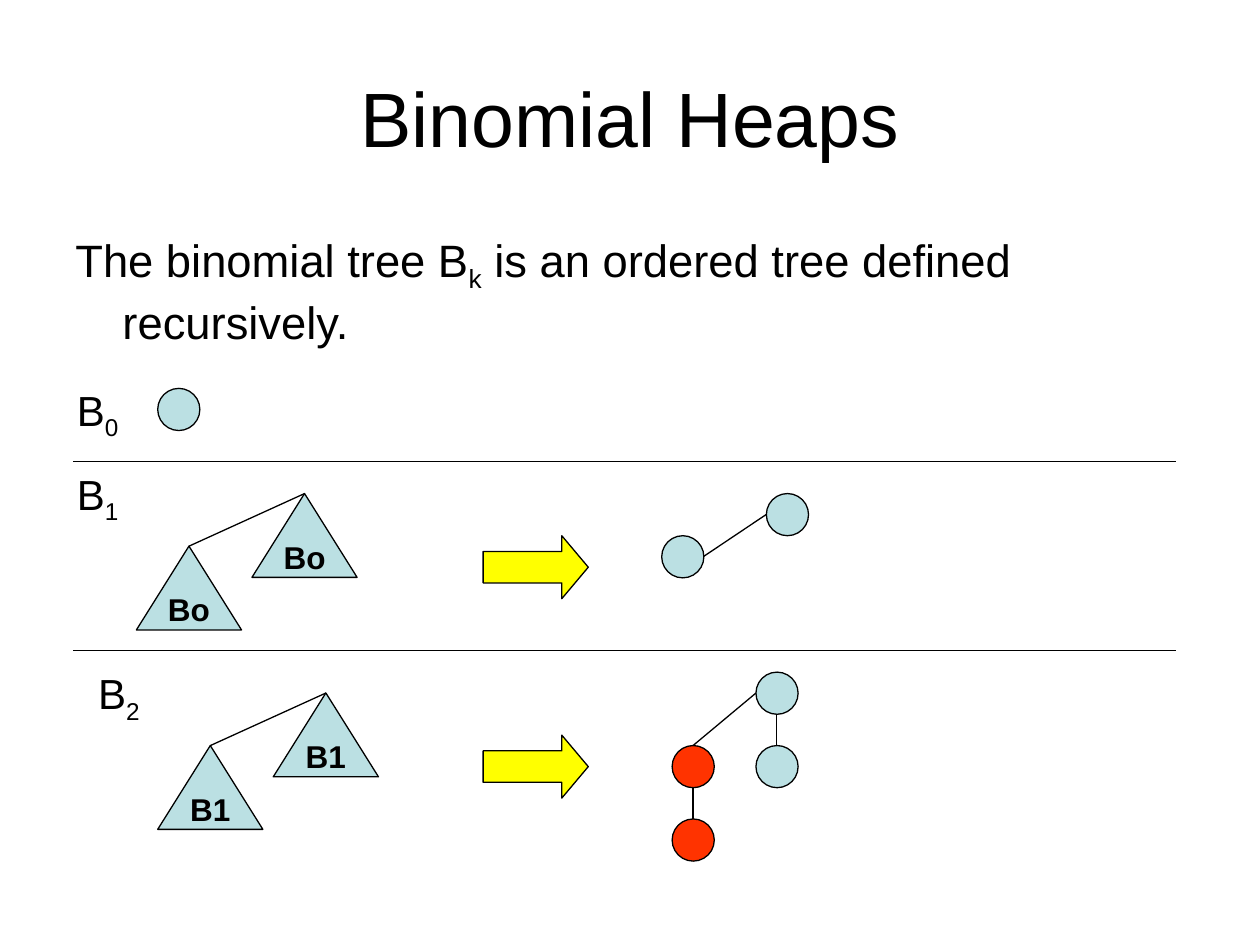
from dataclasses import dataclass

from lxml.etree import SubElement
from pptx import Presentation
from pptx.dml.color import RGBColor
from pptx.enum.shapes import MSO_CONNECTOR, MSO_SHAPE
from pptx.enum.text import MSO_ANCHOR, PP_ALIGN
from pptx.oxml.ns import qn
from pptx.util import Cm, Pt


@dataclass(frozen=True)
class Theme:
    font: str = "Arial"
    ink: RGBColor = RGBColor(0x00, 0x00, 0x00)
    node: RGBColor = RGBColor(0xBB, 0xE0, 0xE3)
    child: RGBColor = RGBColor(0xFF, 0x33, 0x00)
    arrow: RGBColor = RGBColor(0xFF, 0xFF, 0x00)
    outline: Pt = Pt(0.75)
    title: Pt = Pt(44)
    body: Pt = Pt(25.9)
    label: Pt = Pt(24)
    tree: Pt = Pt(18)


theme = Theme()
NODE = 0.85
TREE_WIDTH, TREE_HEIGHT = 2.12, 1.69
TREE_STEP_X, TREE_STEP_Y = 2.33, 1.06


def add_figure(shapes, kind, left, top, width, height, color):
    figure = shapes.add_shape(kind, Cm(left), Cm(top), Cm(width), Cm(height))
    figure.shadow.inherit = False
    figure.fill.solid()
    figure.fill.fore_color.rgb = color
    figure.line.color.rgb = theme.ink
    figure.line.width = theme.outline
    return figure


def add_line(shapes, *ends):
    line = shapes.add_connector(MSO_CONNECTOR.STRAIGHT, *[Cm(end) for end in ends])
    line.line.color.rgb = theme.ink
    line.line.width = theme.outline
    SubElement(line._element.spPr, qn("a:effectLst"))


deck = Presentation()
deck.slide_width, deck.slide_height = Cm(25.4), Cm(19.05)
page = deck.slides.add_slide(deck.slide_layouts[5])

title = page.shapes.title
title_place = {"left": Cm(1.27), "top": Cm(0.76), "width": Cm(22.86), "height": Cm(3.18)}
for name, value in title_place.items():
    setattr(title, name, value)
title.text_frame.text = "Binomial Heaps"
title.text_frame.vertical_anchor = MSO_ANCHOR.MIDDLE
para = title.text_frame.paragraphs[0]
para.alignment = PP_ALIGN.CENTER
for name, value in {"name": theme.font, "size": theme.title}.items():
    setattr(para.font, name, value)
para.font.color.rgb = theme.ink

statement = ("The binomial tree B", "k", " is an ordered tree defined recursively.")
texts = [
    (1.27, 4.45, 20.17, 2.72, theme.body, statement),
    (1.3, 7.62, 1.35, 1.42, theme.label, ("B", "0")),
    (1.3, 9.31, 1.35, 1.42, theme.label, ("B", "1")),
    (1.73, 13.34, 1.35, 1.42, theme.label, ("B", "2")),
]
for left, top, width, height, size, pieces in texts:
    box = page.shapes.add_textbox(Cm(left), Cm(top), Cm(width), Cm(height))
    frame = box.text_frame
    frame.word_wrap = pieces is statement
    para = frame.paragraphs[0]
    if pieces is statement:
        frame.margin_top = Cm(0.23)
        indent = para._p.get_or_add_pPr()
        indent.set("marL", str(Cm(0.95)))
        indent.set("indent", str(-Cm(0.95)))
    for position, piece in enumerate(pieces):
        span = para.add_run()
        span.text = piece
        for name, value in {"name": theme.font, "size": size}.items():
            setattr(span.font, name, value)
        span.font.color.rgb = theme.ink
        if position == 1:
            span._r.get_or_add_rPr().set("baseline", "-25000")

for label, left, top in [("Bo", 2.75, 9.95), ("B1", 3.18, 13.97)]:
    pair = page.shapes.add_group_shape().shapes
    right, lower = left + TREE_STEP_X, top + TREE_STEP_Y
    for tree_left, tree_top in [(left, lower), (right, top)]:
        tree = add_figure(pair, MSO_SHAPE.ISOSCELES_TRIANGLE, tree_left, tree_top,
                          TREE_WIDTH, TREE_HEIGHT, theme.node)
        frame = tree.text_frame
        frame.text = label
        frame.word_wrap = False
        frame.vertical_anchor = MSO_ANCHOR.MIDDLE
        para = frame.paragraphs[0]
        para.alignment = PP_ALIGN.CENTER
        for name, value in {"name": theme.font, "size": theme.tree, "bold": True}.items():
            setattr(para.font, name, value)
        para.font.color.rgb = theme.ink
    add_line(pair, right + TREE_WIDTH / 2, top, left + TREE_WIDTH / 2, lower)

for top in (10.8, 14.82):
    arrow = add_figure(page.shapes, MSO_SHAPE.RIGHT_ARROW, 9.74, top, 2.12, 1.27, theme.arrow)
    arrow.adjustments[1] = 0.42

add_figure(page.shapes, MSO_SHAPE.OVAL, 3.18, 7.83, NODE, NODE, theme.node)

expanded_trees = [
    ([(13.34, 10.8, theme.node), (15.45, 9.95, theme.node)],
     [(15.45, 10.37, 14.18, 11.22)]),
    ([(13.55, 16.51, theme.child), (13.55, 15.03, theme.child),
      (15.24, 15.03, theme.node), (15.24, 13.55, theme.node)],
     [(13.97, 15.88, 13.97, 16.51), (15.66, 14.39, 15.66, 15.03),
      (15.24, 13.97, 13.97, 15.03)]),
]
for nodes, edges in expanded_trees:
    tree_shapes = page.shapes.add_group_shape().shapes
    for left, top, color in nodes:
        add_figure(tree_shapes, MSO_SHAPE.OVAL, left, top, NODE, NODE, color)
    for edge in edges:
        add_line(tree_shapes, *edge)

for top in (9.31, 13.12):
    add_line(page.shapes, 1.48, top, 23.71, top)

deck.save("out.pptx")
